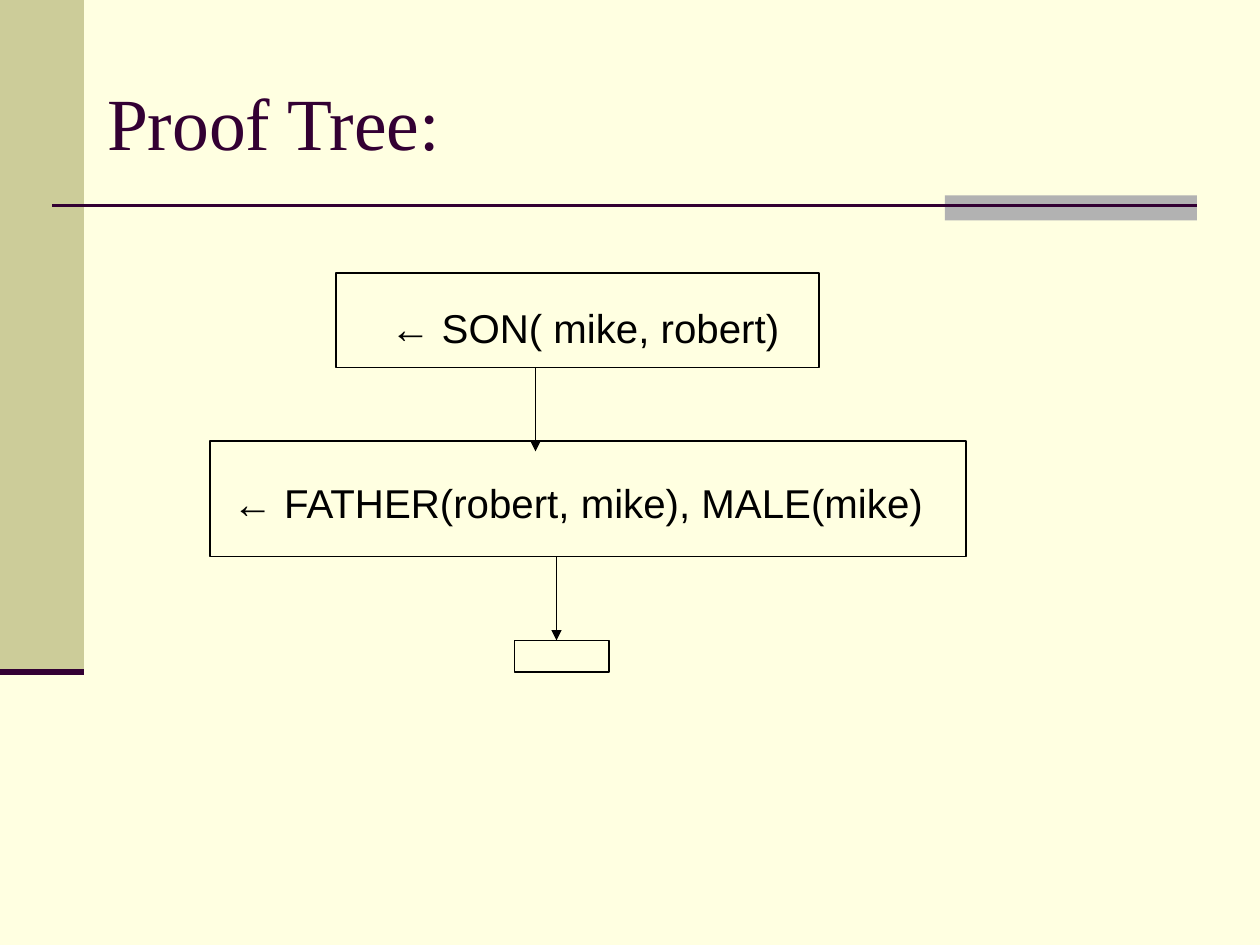
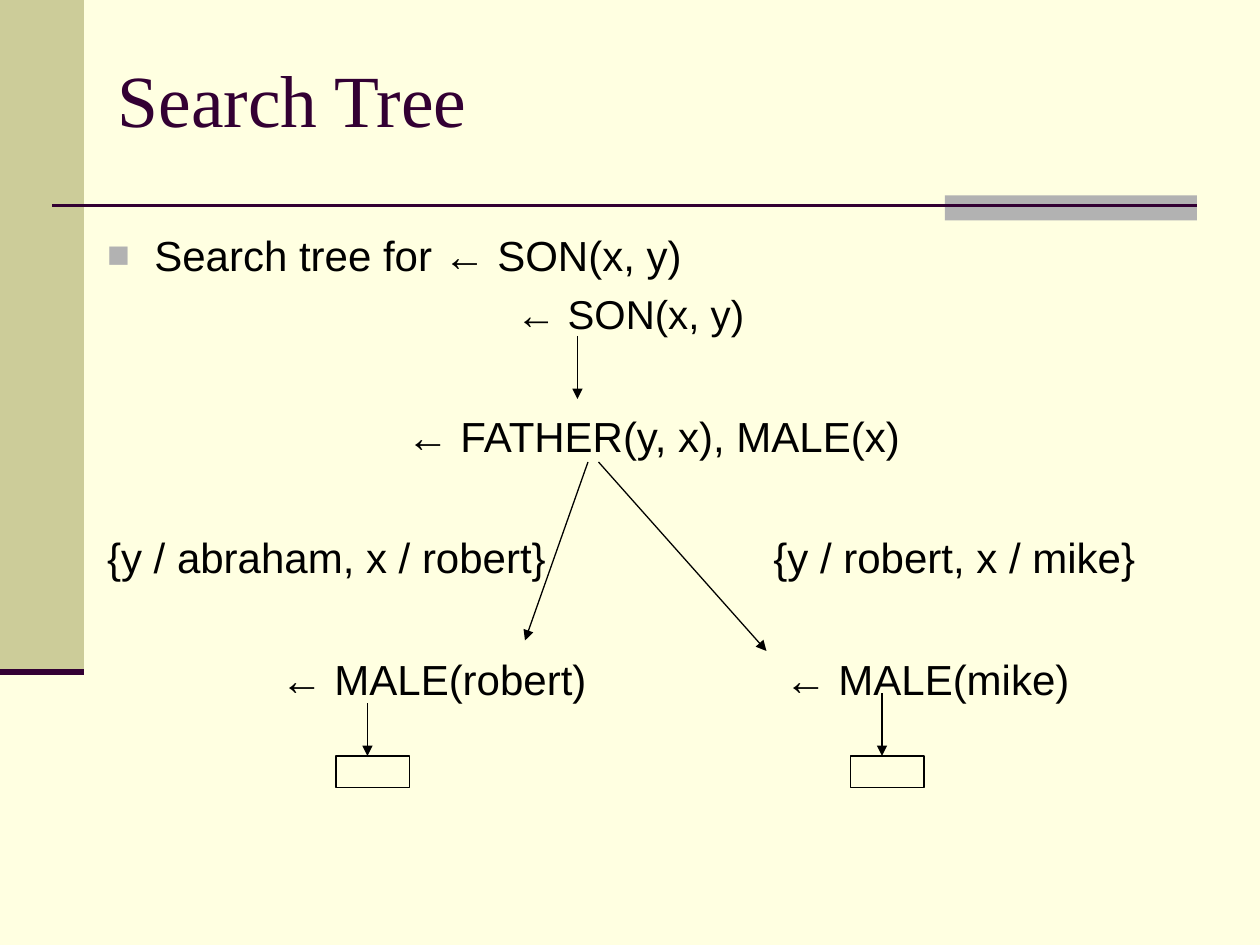
from lxml import etree
from pptx import Presentation
from pptx.dml.color import RGBColor
from pptx.enum.shapes import MSO_CONNECTOR, MSO_SHAPE
from pptx.enum.text import MSO_ANCHOR, PP_ALIGN
from pptx.oxml.ns import qn
from pptx.util import Pt

RECTANGLE = MSO_SHAPE.RECTANGLE
STRAIGHT = MSO_CONNECTOR.STRAIGHT
TOP, MIDDLE = MSO_ANCHOR.TOP, MSO_ANCHOR.MIDDLE
LEFT = PP_ALIGN.LEFT

COLORS = {
    "page": "FFFFE1",
    "side": "CCCC99",
    "accent": "B2B2B2",
    "title": "330033",
    "ink": "000000",
}
TITLE_FONT, BODY_FONT = "Times New Roman", "Arial"
BODY_BOX = (54, 126, 612, 354)
ROW_START, ROW_PITCH = 5, 34.6


def color(name):
    return RGBColor.from_string(COLORS[name])


def add_rectangle(page, box, fill=None, line=None):
    shape = page.shapes.add_shape(RECTANGLE, *map(Pt, box))
    shape.shadow.inherit = False
    if fill:
        shape.fill.solid()
        shape.fill.fore_color.rgb = color(fill)
    else:
        shape.fill.background()
    if line:
        shape.line.color.rgb = color(line)
        shape.line.width = Pt(0.75)
    else:
        shape.line.fill.background()
    return shape


def add_line(page, start, end, ink="ink", width=0.75, arrow=False):
    line = page.shapes.add_connector(STRAIGHT, *map(Pt, (*start, *end)))
    line.line.color.rgb = color(ink)
    line.line.width = Pt(width)
    if arrow:
        etree.SubElement(line.line._get_or_add_ln(), qn("a:tailEnd"), type="triangle")
    etree.SubElement(line._element.spPr, qn("a:effectLst"))


def write(shape, text, size=24, font=BODY_FONT, ink="ink", anchor=TOP,
          inset=(0, 0), bullet=None, indent=0):
    """Fill a shape with one paragraph; inset is (left, top)."""
    frame = shape.text_frame
    frame.word_wrap = True
    frame.vertical_anchor = anchor
    frame.margin_left, frame.margin_top = map(Pt, inset)
    frame.margin_right = frame.margin_bottom = 0
    para = frame.paragraphs[0]
    para.alignment = LEFT
    if bullet:
        properties = para._p.get_or_add_pPr()
        properties.set("marL", str(Pt(indent)))
        properties.set("indent", str(-Pt(indent)))
        bullet_color = etree.SubElement(properties, qn("a:buClr"))
        etree.SubElement(bullet_color, qn("a:srgbClr"), val=COLORS["accent"])
        etree.SubElement(properties, qn("a:buSzPct"), val="90000")
        etree.SubElement(properties, qn("a:buFont"), typeface=BODY_FONT)
        etree.SubElement(properties, qn("a:buChar"), char=bullet)
    span = para.add_run()
    span.text = text
    span.font.size = Pt(size)
    span.font.name = font
    span.font.color.rgb = color(ink)


def add_label(page, box, text, **style):
    write(page.shapes.add_textbox(*map(Pt, box)), text, **style)


def add_page(deck, title, title_box):
    """Start a page with the shared bands, rules and title."""
    page = deck.slides.add_slide(deck.slide_layouts[6])
    page.background.fill.solid()
    page.background.fill.fore_color.rgb = color("page")
    add_rectangle(page, (0, 0, 48, 384), fill="side")
    add_rectangle(page, (540, 111.6, 144, 14.4), fill="accent")
    add_line(page, (30, 117.6), (684, 117.6), "title", 1.5)
    add_line(page, (0, 384), (48, 384), "title", 3.5)
    add_label(page, title_box, title, size=42, font=TITLE_FONT,
              ink="title", anchor=MIDDLE)
    return page


def add_proof_tree(page, box):
    left, top = box[:2]
    goals = [
        ((138, 30, 276, 54), "← SON( mike, robert)", (31, 8)),
        ((66, 126, 432, 66), "← FATHER(robert, mike), MALE(mike)", (13, 4)),
    ]
    for (x, y, width, height), text, inset in goals:
        goal = add_rectangle(page, (left + x, top + y, width, height), line="ink")
        write(goal, text, size=23, anchor=MIDDLE, inset=inset)
    add_rectangle(page, (left + 240, top + 240, 54, 18), line="ink")
    for x, y, length in [(252, 84, 48), (264, 192, 48)]:
        add_line(page, (left + x, top + y), (left + x, top + y + length), arrow=True)


def add_search_tree(page, box):
    left, top, width = box[:3]

    def row_box(row, x, label_width):
        return left + x, top + ROW_START + row * ROW_PITCH, label_width, 30

    add_label(page, row_box(0, 7.2, width - 7.2), "Search tree for ← SON(x, y)",
              bullet="■", indent=27)
    labels = [
        (1, 241, 200, "← SON(x, y)", 23),
        (3, 178.5, 320, "← FATHER(y, x), MALE(x)", 24),
        (5, 7.2, 270, "{y / abraham, x / robert}", 24),
        (5, 388, 224, "{y / robert, x / mike}", 24),
        (7, 106.5, 200, "← MALE(robert)", 24),
        (7, 394.5, 200, "← MALE(mike)", 24),
    ]
    for row, x, label_width, text, size in labels:
        add_label(page, row_box(row, x, label_width), text, size=size)

    branches = [
        ((276, 66), (276, 102)),
        ((282, 138), (246, 240)),
        ((288, 138), (384, 246)),
        ((156, 276), (156, 306)),
        ((450, 270), (450, 306)),
    ]
    for (x1, y1), (x2, y2) in branches:
        add_line(page, (left + x1, top + y1), (left + x2, top + y2), arrow=True)
    for x in (138, 432):
        add_rectangle(page, (left + x, top + 306, 42, 18), line="ink")


def main():
    deck = Presentation()
    deck.slide_width, deck.slide_height = Pt(720), Pt(540)
    proof_page = add_page(deck, "Proof Tree:", (61.2, 36, 604.8, 66))
    add_proof_tree(proof_page, BODY_BOX)
    search_page = add_page(deck, "Search Tree", (67.2, 21.6, 616.8, 68.4))
    add_search_tree(search_page, BODY_BOX)
    deck.save("out.pptx")


if __name__ == "__main__":
    main()
